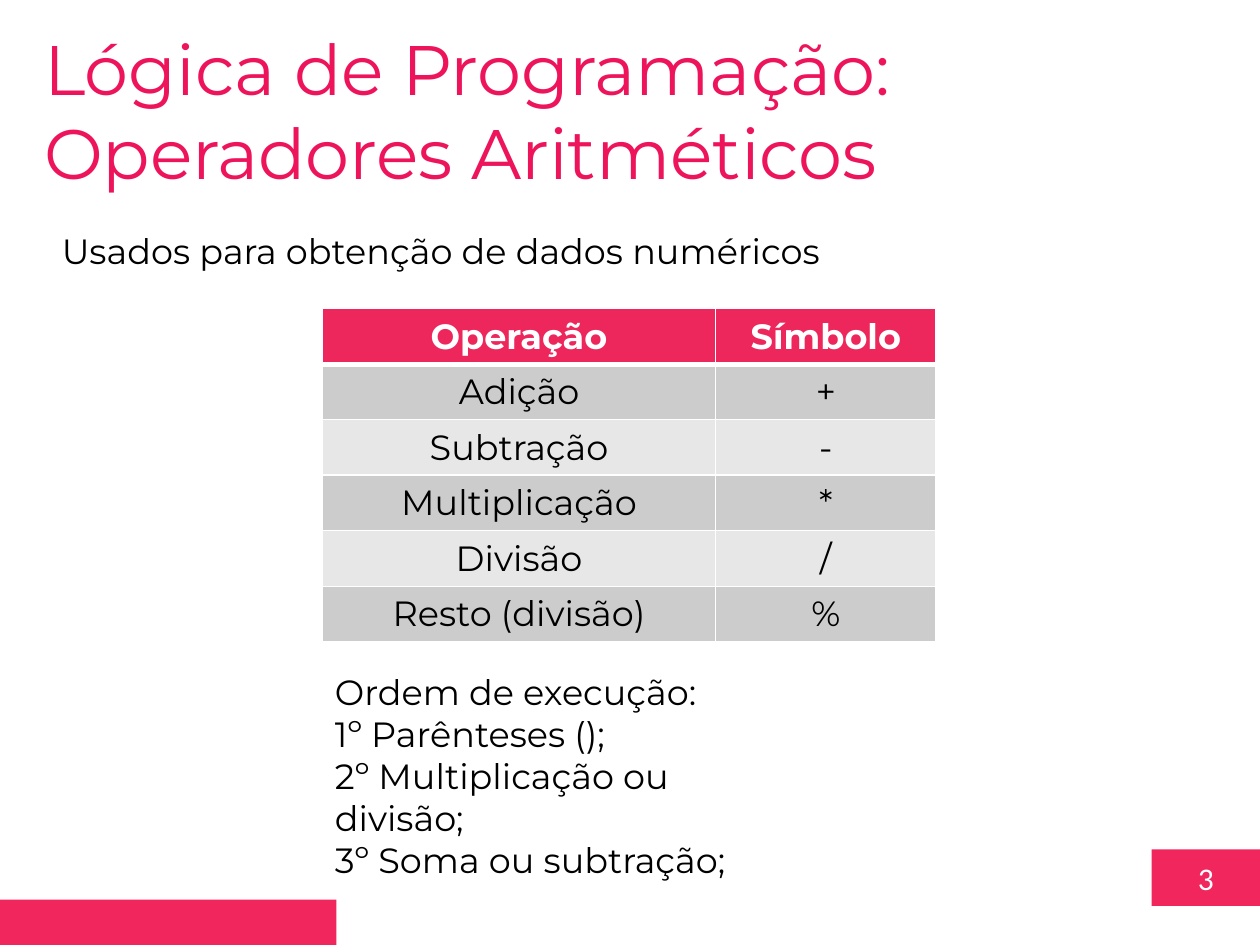
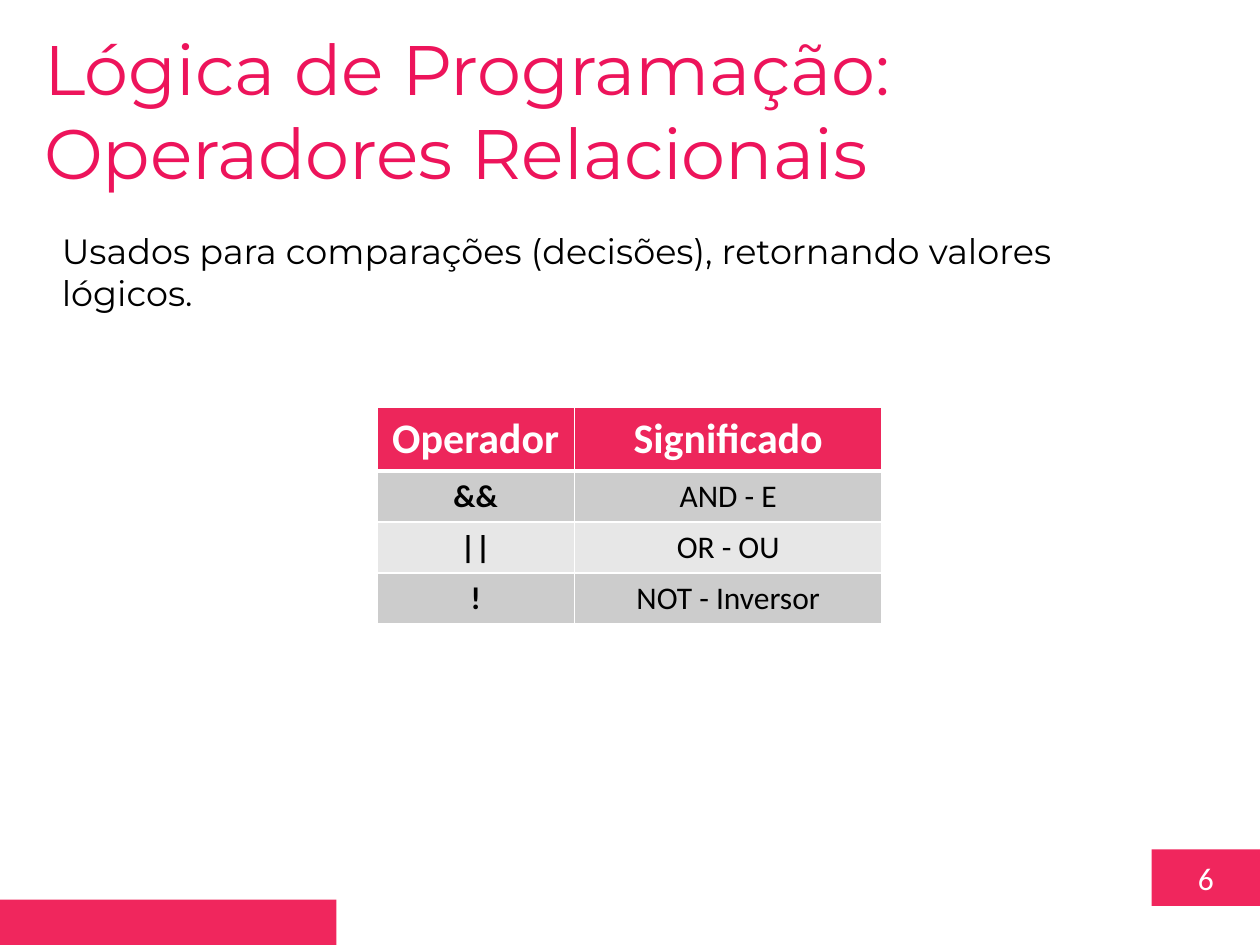
from pptx import Presentation
from pptx import util as u
from pptx.dml.color import RGBColor
from pptx.enum import shapes, text
from pptx.oxml.ns import qn
from lxml import etree

COLORS = {
    "band": "F0265D", "title": "ED145B", "header": "ED265B",
    "odd": "CCCCCC", "even": "E7E7E7", "ink": "000000", "paper": "FFFFFF",
}
SANS, DISPLAY = "Calibri", "Montserrat"

LESSONS = [
    {
        "number": "3",
        "title": "Lógica de Programação: Operadores Aritméticos",
        "title_width": 7.9,
        "intro": "Usados para obtenção de dados numéricos",
        "intro_width": 7.04,
        "operators": [
            ("Operação", "Símbolo"),
            ("Adição", "+"),
            ("Subtração", "-"),
            ("Multiplicação", "*"),
            ("Divisão", "/"),
            ("Resto (divisão)", "%"),
        ],
        "grid": {"left": 2.56, "top": 2.45, "columns": (3.12, 1.75),
                 "header_height": 0.43, "row_height": 0.43,
                 "font": DISPLAY, "header_size": 20, "size": 20, "bold_key": False},
        "order": [
            "Ordem de execução:",
            "1º Parênteses ();",
            "2º Multiplicação ou divisão;",
            "3º Soma ou subtração;",
        ],
    },
    {
        "number": "6",
        "title": "Lógica de Programação: Operadores Relacionais",
        "title_width": 6.92,
        "intro": "Usados para comparações (decisões), retornando valores lógicos.",
        "intro_width": 9.09,
        "operators": [
            ("Operador", "Significado"),
            ("&&", "AND - E"),
            ("||", "OR - OU"),
            ("!", "NOT - Inversor"),
        ],
        "grid": {"left": 2.99, "top": 3.23, "columns": (1.57, 2.44),
                 "header_height": 0.5, "row_height": 0.4,
                 "font": SANS, "header_size": 24, "size": 18, "bold_key": True},
        "order": [],
    },
]


def rgb(name):
    return RGBColor.from_string(COLORS[name])


def place(item, left, top, width, height):
    item.left, item.top = u.Inches(left), u.Inches(top)
    item.width, item.height = u.Inches(width), u.Inches(height)


def style(frame, font, size, color, align=text.PP_ALIGN.LEFT, bold=False):
    for paragraph in frame.paragraphs:
        paragraph.alignment = align
        paragraph.space_before = u.Pt(0)
        for run in paragraph.runs:
            run.font.name, run.font.size, run.font.bold = font, u.Pt(size), bold
            run.font.color.rgb = rgb(color)


def write(holder, lines, size, color):
    frame = holder.text_frame
    frame.text = "\n".join(lines)
    frame.word_wrap = True
    frame.auto_size = text.MSO_AUTO_SIZE.NONE
    frame.vertical_anchor = text.MSO_ANCHOR.TOP
    style(frame, DISPLAY, size, color)


def remove_bullets(frame):
    for paragraph in frame.paragraphs:
        properties = paragraph._p.get_or_add_pPr()
        properties.set("marL", "0")
        properties.set("indent", "0")
        etree.SubElement(properties, qn("a:buNone"))


def add_band(slide, left, top, width, height, label=""):
    band = slide.shapes.add_shape(
        shapes.MSO_SHAPE.RECTANGLE, *map(u.Inches, (left, top, width, height)))
    band.shadow.inherit = False
    band.fill.solid()
    band.fill.fore_color.rgb = rgb("band")
    band.line.fill.background()
    if label:
        band.text_frame.text = label
        band.text_frame.vertical_anchor = text.MSO_ANCHOR.MIDDLE
        style(band.text_frame, SANS, 18, "paper", text.PP_ALIGN.CENTER)


def add_borders(cell, row):
    properties = cell._tc.get_or_add_tcPr()
    top, bottom = (3 if row == 1 else 1), (3 if row == 0 else 1)
    edges = (("a:lnL", 1), ("a:lnR", 1), ("a:lnT", top), ("a:lnB", bottom))
    for position, (edge, points) in enumerate(edges):
        line = etree.Element(qn(edge), w=str(u.Pt(points)))
        fill = etree.SubElement(line, qn("a:solidFill"))
        etree.SubElement(fill, qn("a:srgbClr"), val=COLORS["paper"])
        properties.insert(position, line)


def add_operators(slide, operators, grid):
    heights = [grid["header_height"]] + [grid["row_height"]] * (len(operators) - 1)
    box = (grid["left"], grid["top"], sum(grid["columns"]), sum(heights))
    table = slide.shapes.add_table(
        len(operators), len(grid["columns"]), *map(u.Inches, box)).table
    for column, width in zip(table.columns, grid["columns"]):
        column.width = u.Inches(width)
    for r, (entries, height) in enumerate(zip(operators, heights)):
        table.rows[r].height = u.Inches(height)
        header = r == 0
        background = "header" if header else ("odd" if r % 2 else "even")
        for c, entry in enumerate(entries):
            cell = table.cell(r, c)
            cell.text_frame.text = entry
            if grid["bold_key"] and not header:
                cell.vertical_anchor = text.MSO_ANCHOR.MIDDLE
            cell.fill.solid()
            cell.fill.fore_color.rgb = rgb(background)
            add_borders(cell, r)
            style(cell.text_frame, grid["font"],
                  grid["header_size"] if header else grid["size"],
                  "paper" if header else "ink", text.PP_ALIGN.CENTER,
                  header or (grid["bold_key"] and c == 0))


def add_lesson(deck, lesson):
    slide = deck.slides.add_slide(deck.slide_layouts[1])
    add_band(slide, 9.14, 6.74, 0.86, 0.45, lesson["number"])
    add_band(slide, 0, 7.14, 2.67, 0.36)

    title, intro = slide.shapes.title, slide.placeholders[1]
    place(title, 0.25, 0.15, lesson["title_width"], 1.45)
    write(title, [lesson["title"]], 40, "title")
    place(intro, 0.39, 1.77, lesson["intro_width"], 0.44)
    write(intro, [lesson["intro"]], 20, "ink")
    remove_bullets(intro.text_frame)

    add_operators(slide, lesson["operators"], lesson["grid"])
    if lesson["order"]:
        order = slide.shapes.add_textbox(*map(u.Inches, (2.56, 5.27, 3.57, 1.45)))
        write(order, lesson["order"], 20, "ink")


def main():
    deck = Presentation()
    deck.slide_width, deck.slide_height = u.Inches(10), u.Inches(7.5)
    for lesson in LESSONS:
        add_lesson(deck, lesson)
    deck.save("out.pptx")


if __name__ == "__main__":
    main()
